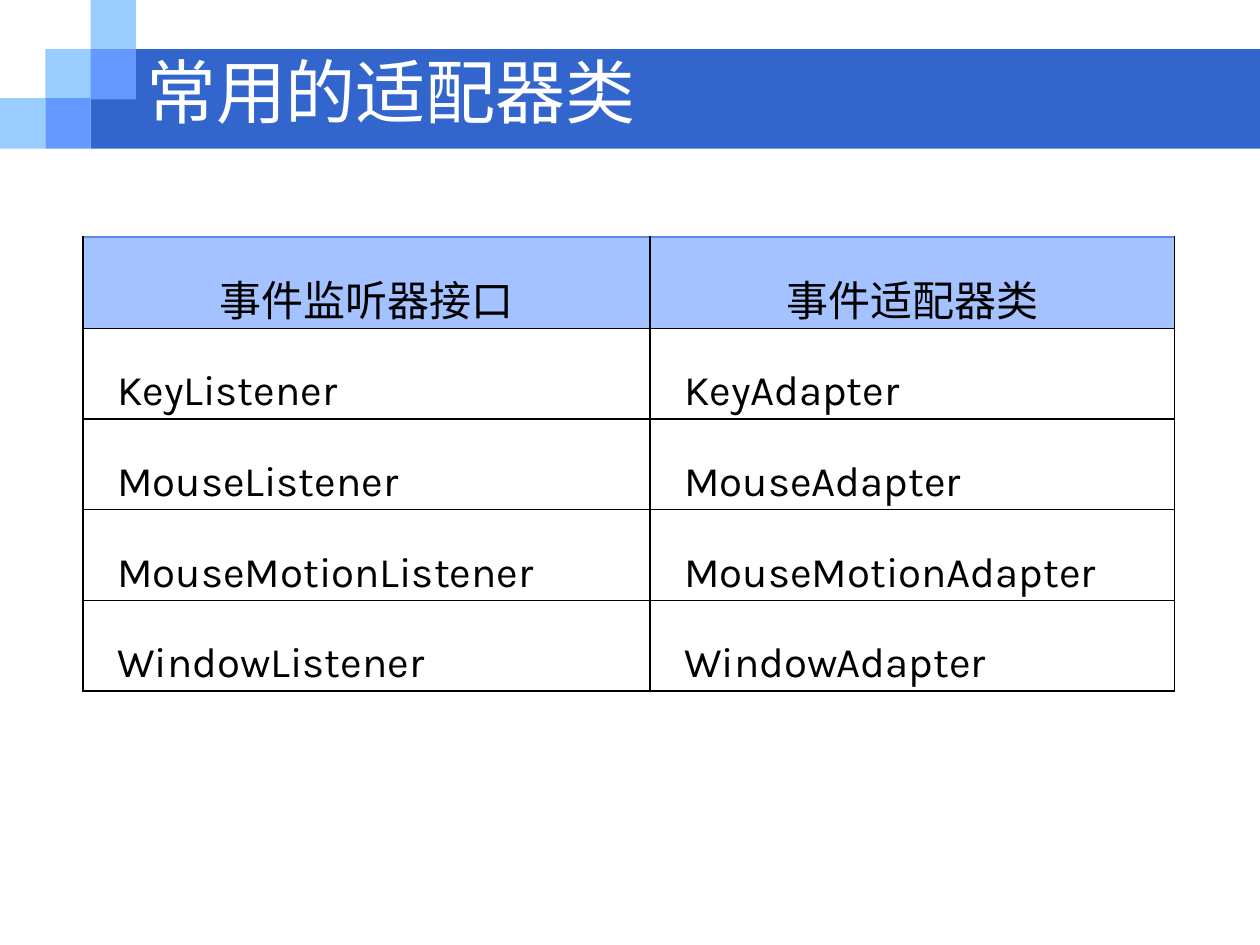
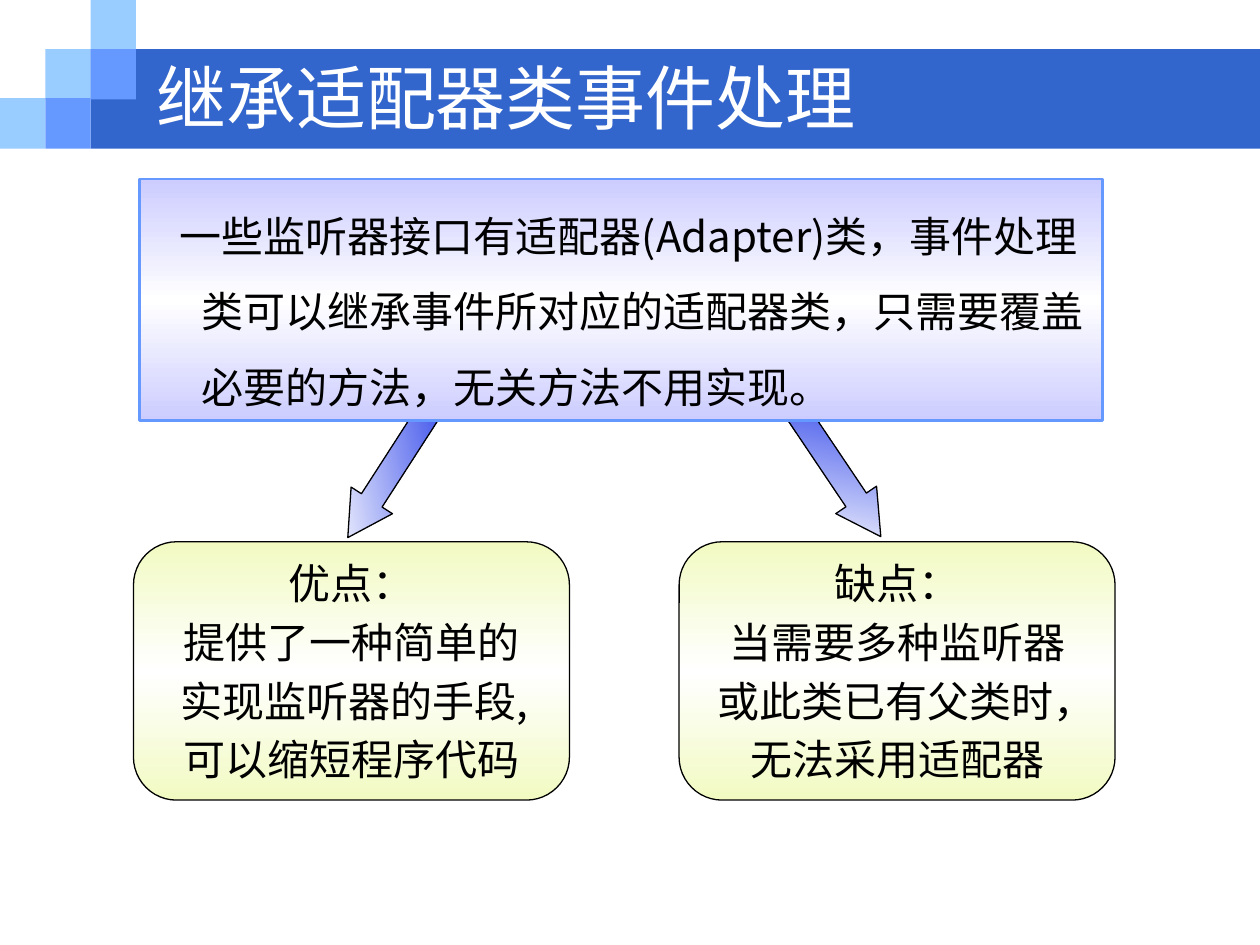
import pptx
import pptx.dml.color
import pptx.enum.shapes
import pptx.enum.text
import pptx.oxml
import pptx.oxml.ns
import pptx.util
from lxml import etree

Inches = pptx.util.Inches
Pt = pptx.util.Pt
RGBColor = pptx.dml.color.RGBColor
SHAPE = pptx.enum.shapes.MSO_SHAPE
ALIGN = pptx.enum.text.PP_ALIGN
ANCHOR = pptx.enum.text.MSO_ANCHOR
AUTO_SIZE = pptx.enum.text.MSO_AUTO_SIZE
qn = pptx.oxml.ns.qn

WHITE = RGBColor(0xFF, 0xFF, 0xFF)
BLACK = RGBColor(0, 0, 0)
BAND_BLUE = RGBColor(0x33, 0x66, 0xCC)
SKY_BLUE = RGBColor(0x99, 0xCC, 0xFF)
MID_BLUE = RGBColor(0x66, 0x99, 0xFF)
HEADER_BLUE = RGBColor(0xA3, 0xC2, 0xFF)
HEADER_EDGE = RGBColor(0x5C, 0x8A, 0xE7)
ARROW_BLUE = RGBColor(0x1B, 0x33, 0xE7)
LAVENDER = RGBColor(0xCC, 0xCC, 0xFF)
LIME = RGBColor(0xF2, 0xFA, 0xC2)

CJK_FONT = "Noto Sans CJK SC"
TITLE_FONT = {"name": "Courier New", "size": Pt(40), "bold": False, "color": WHITE}
TEXT_FONT = {"name": CJK_FONT, "size": Pt(24), "bold": False, "color": BLACK}
CODE_FONT = {**TEXT_FONT, "name": "Karla"}

LISTENERS = ["Key", "Mouse", "MouseMotion", "Window"]
INTRO = ("一些监听器接口有适配器(Adapter)类，事件处理类可以继承事件所对应的适配器类，"
         "只需要覆盖必要的方法，无关方法不用实现。")
# Each line of a verdict with its first-line indent in inches
ADVANTAGES = [("优点：", -0.38), ("提供了一种简单的", -0.38),
              ("实现监听器的手段,", -0.33), ("可以缩短程序代码", -0.38)]
DRAWBACKS = [("缺点：", -0.38), ("当需要多种监听器", -0.38),
             ("或此类已有父类时，", -0.23), ("无法采用适配器", -0.38)]


def apply(target, formats):
    for name, value in formats.items():
        setattr(target, name, value)


def set_indent(paragraph, left, first):
    properties = paragraph._p.get_or_add_pPr()
    properties.set("marL", str(Inches(left)))
    properties.set("indent", str(Inches(first)))


def write(paragraph, text, font):
    """Add one run with Latin and East Asian typefaces set."""
    run = paragraph.add_run()
    run.text = text
    apply(run.font, {key: font[key] for key in ("name", "size", "bold")})
    run.font.color.rgb = font["color"]
    etree.SubElement(run._r.get_or_add_rPr(), qn("a:ea")).set("typeface", CJK_FONT)


def add_color(parent, color):
    etree.SubElement(parent, qn("a:srgbClr")).set("val", str(color))


def set_gradient(shape, colors, angle):
    """Replace the fill by evenly spaced stops; the angle runs clockwise."""
    shape.fill.gradient()
    gradient = shape.element.spPr.find(qn("a:gradFill"))
    for child in list(gradient):
        gradient.remove(child)
    stops = etree.SubElement(gradient, qn("a:gsLst"))
    for index, color in enumerate(colors):
        stop = etree.SubElement(stops, qn("a:gs"))
        stop.set("pos", str(100000 * index // (len(colors) - 1)))
        add_color(stop, color)
    etree.SubElement(gradient, qn("a:lin")).set("ang", str(angle * 60000))


def set_borders(cell, top):
    properties = cell._tc.get_or_add_tcPr()
    sides = {"L": BLACK, "R": BLACK, "T": top, "B": BLACK}
    for index, (side, color) in enumerate(sides.items()):
        edge = pptx.oxml.parse_xml(
            f'<a:ln{side} {pptx.oxml.ns.nsdecls("a")} w="{Pt(1)}"/>')
        add_color(etree.SubElement(edge, qn("a:solidFill")), color)
        properties.insert(index, edge)


class Deck:
    """The presentation, its shared look and the current slide."""

    def __init__(self):
        self.presentation = pptx.Presentation()
        apply(self.presentation, {"slide_width": Inches(10), "slide_height": Inches(7.5)})
        self.layout = self.presentation.slide_layouts[5]
        self.slide = None

    def decorate_layout(self):
        """Move the band and its stepped squares from the slide to the layout."""
        parts = [((0.72, 0.39, 9.28, 0.79), BAND_BLUE)]
        squares = [(0, 2, SKY_BLUE), (1, 1, SKY_BLUE), (2, 0, SKY_BLUE),
                   (2, 1, MID_BLUE), (1, 2, MID_BLUE)]
        for column, row, color in squares:
            parts.append(((column * 0.36, row * 0.39, 0.36, 0.4), color))
        for index, (box, color) in enumerate(parts):
            part = self.shape(SHAPE.RECTANGLE, box)
            part.fill.solid()
            part.fill.fore_color.rgb = color
            self.layout.shapes.element.insert(2 + index, part.element)

    def new_slide(self, title, box):
        first = self.slide is None
        self.slide = self.presentation.slides.add_slide(self.layout)
        if first:
            self.decorate_layout()
        heading = self.slide.shapes.title
        apply(heading, dict(zip(("left", "top", "width", "height"), map(Inches, box))))
        apply(heading.text_frame, {"vertical_anchor": ANCHOR.MIDDLE,
                                   "auto_size": AUTO_SIZE.NONE, "word_wrap": True})
        paragraph = heading.text_frame.paragraphs[0]
        paragraph.alignment = ALIGN.LEFT
        write(paragraph, title, TITLE_FONT)

    def shape(self, kind, box, line=None, line_width=0.75):
        shape = self.slide.shapes.add_shape(kind, *map(Inches, box))
        shape.shadow.inherit = False
        if line is None:
            shape.line.fill.background()
        else:
            shape.line.color.rgb = line
            shape.line.width = Pt(line_width)
        return shape

    def arrow(self, left, rotation):
        arrow = self.shape(SHAPE.DOWN_ARROW, (left, 2.96, 0.39, 1.42), BLACK)
        arrow.rotation = rotation
        arrow.adjustments[0], arrow.adjustments[1] = 0.5, 0.9
        set_gradient(arrow, [WHITE, ARROW_BLUE], 315)

    def intro(self, text, box):
        panel = self.shape(SHAPE.RECTANGLE, box, MID_BLUE, 1.5)
        set_gradient(panel, [LAVENDER, WHITE, LAVENDER], 90)
        apply(panel.text_frame, {"word_wrap": True, "vertical_anchor": ANCHOR.TOP})
        paragraph = panel.text_frame.paragraphs[0]
        apply(paragraph, {"alignment": ALIGN.LEFT, "line_spacing": 1.5})
        set_indent(paragraph, 0.39, -0.17)
        write(paragraph, text, TEXT_FONT)

    def verdict(self, lines, left):
        card = self.shape(SHAPE.ROUNDED_RECTANGLE, (left, 4.3, 3.46, 2.05), BLACK)
        set_gradient(card, [LIME, WHITE, LIME], 90)
        frame = card.text_frame
        apply(frame, {"word_wrap": False, "vertical_anchor": ANCHOR.MIDDLE,
                      "margin_left": Inches(0.02), "margin_right": Inches(0.02),
                      "margin_top": Inches(0.01), "margin_bottom": Inches(0.01)})
        for index, (text, indent) in enumerate(lines):
            paragraph = frame.paragraphs[0]
            if index:
                paragraph = frame.add_paragraph()
                paragraph.space_before = Pt(4.8)
            paragraph.alignment = ALIGN.CENTER
            set_indent(paragraph, 0.38, indent)
            write(paragraph, text, TEXT_FONT)

    def table(self, rows, position, widths, heights):
        table = self.slide.shapes.add_table(
            len(rows), len(widths), *map(Inches, position),
            Inches(sum(widths)), Inches(sum(heights))).table
        for column, width in zip(table.columns, widths):
            column.width = Inches(width)
        for row, height, texts in zip(table.rows, heights, rows):
            row.height = Inches(height)
            header = texts is rows[0]
            for cell, text in zip(row.cells, texts):
                self.cell(cell, text, header)

    def cell(self, cell, text, header):
        apply(cell, {"margin_left": Inches(0.07), "margin_right": Inches(0.07),
                     "margin_top": 0, "margin_bottom": 0})
        cell.fill.solid()
        cell.fill.fore_color.rgb = HEADER_BLUE if header else WHITE
        set_borders(cell, HEADER_EDGE if header else BLACK)
        paragraph = cell.text_frame.paragraphs[0]
        if header:
            apply(paragraph, {"alignment": ALIGN.CENTER, "line_spacing": 1.5})
        else:
            apply(paragraph, {"alignment": ALIGN.JUSTIFY, "line_spacing": 1.8})
            set_indent(paragraph, 0, 0.2)
        write(paragraph, text, TEXT_FONT if header else CODE_FONT)


def main():
    deck = Deck()

    deck.new_slide("常用的适配器类", (1.06, 0.28, 8.43, 0.87))
    rows = [("事件监听器接口", "事件适配器类")]
    rows += [(f"{event}Listener", f"{event}Adapter") for event in LISTENERS]
    deck.table(rows, (0.66, 1.88), [4.5, 4.16], [0.63] + [0.72] * len(LISTENERS))

    deck.new_slide("继承适配器类事件处理", (1.14, 0.5, 8.08, 0.53))
    deck.arrow(6.4, 326.1)
    deck.arrow(2.95, 32.8)
    deck.intro(INTRO, (1.11, 1.42, 7.64, 1.92))
    deck.verdict(ADVANTAGES, 1.06)
    deck.verdict(DRAWBACKS, 5.39)

    deck.presentation.save("out.pptx")


if __name__ == "__main__":
    main()
